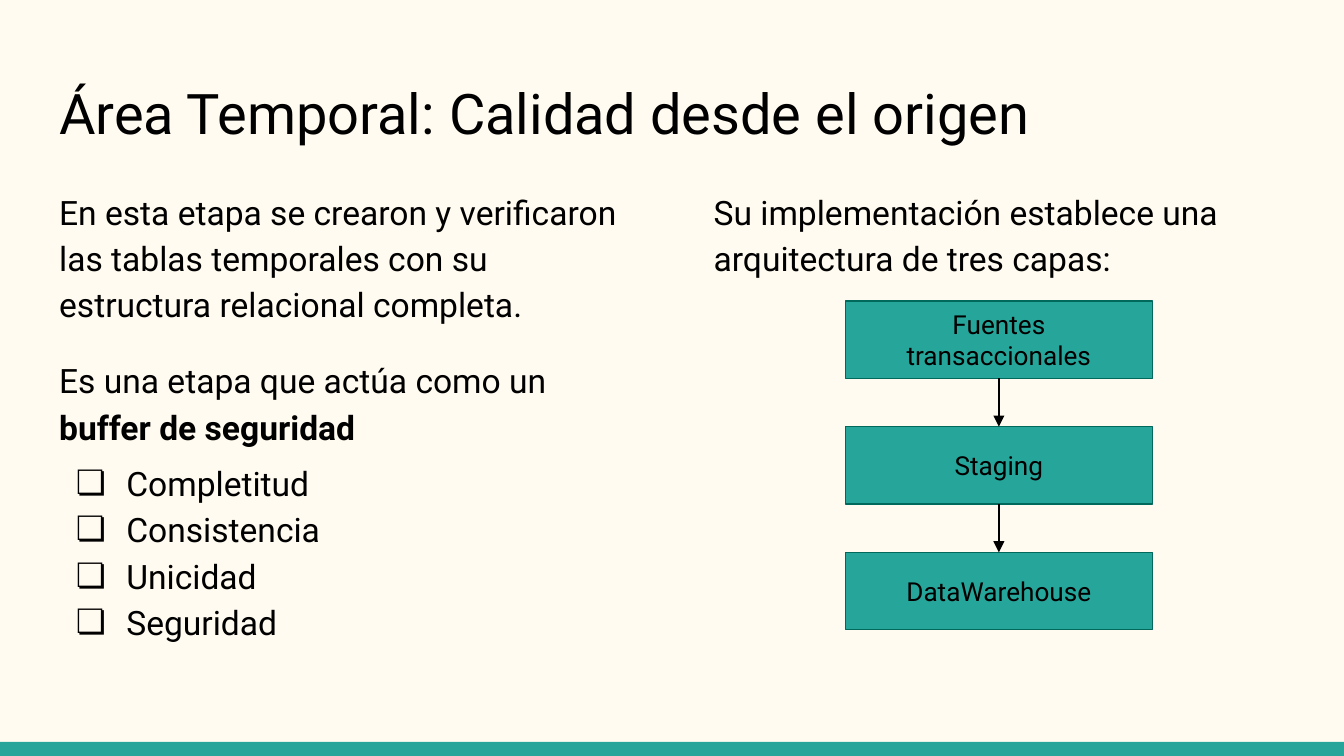
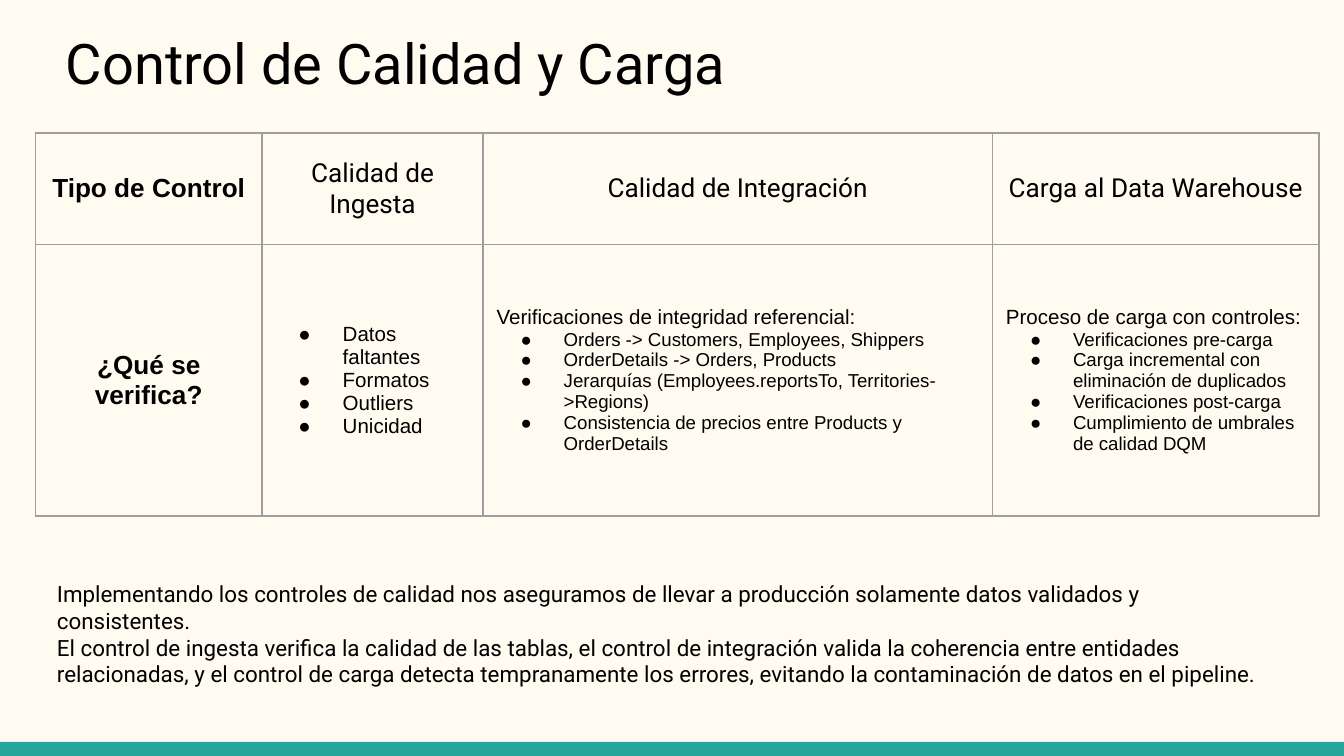
from dataclasses import dataclass

from lxml import etree
from pptx import Presentation
from pptx.dml.color import RGBColor
from pptx.enum.shapes import MSO_CONNECTOR, MSO_SHAPE
from pptx.enum.text import MSO_ANCHOR, MSO_AUTO_SIZE, PP_ALIGN
from pptx.oxml.ns import qn
from pptx.util import Pt

RECT = MSO_SHAPE.RECTANGLE
STRAIGHT = MSO_CONNECTOR.STRAIGHT
TOP, MIDDLE = MSO_ANCHOR.TOP, MSO_ANCHOR.MIDDLE
LEFT, CENTER = PP_ALIGN.LEFT, PP_ALIGN.CENTER
NO_FIT = MSO_AUTO_SIZE.NONE
PX = 4572


@dataclass(frozen=True)
class Theme:
    paper: RGBColor = RGBColor.from_string("FFFBF0")
    teal: RGBColor = RGBColor.from_string("26A69A")
    edge: RGBColor = RGBColor.from_string("00695C")
    ink: RGBColor = RGBColor.from_string("000000")
    grid: RGBColor = RGBColor.from_string("9E9E9E")
    font: str = "Roboto"
    table_font: str = "Arial"
    title: int = 30
    body: int = 18
    label: int = 14
    note: int = 12
    cell: int = 11
    item: int = 10
    line: float = 0.75
    inset: int = 20


T = Theme()


def place(sp, x, y, w, h, anchor=TOP):
    sp.left, sp.top, sp.width, sp.height = [v * PX for v in (x, y, w, h)]
    tf = sp.text_frame
    tf.word_wrap = True
    tf.auto_size = NO_FIT
    tf.vertical_anchor = anchor
    tf.margin_left = tf.margin_right = tf.margin_top = tf.margin_bottom = T.inset * PX
    return tf


def write(tf, text, size=T.body, font=T.font, bold=False, bold_tail="", align=LEFT,
          bullet=None, hang=0, spacing=1.0, before=0, after=0):
    p = tf.paragraphs[-1] if not tf.text else tf.add_paragraph()
    pPr = p._p.get_or_add_pPr()
    pPr.set("marL", str(100 * PX if bullet else 0))
    pPr.set("indent", str(-hang * PX))
    if bullet:
        clr = etree.SubElement(pPr, qn("a:buClr"))
        etree.SubElement(clr, qn("a:srgbClr"), val=str(T.ink))
        etree.SubElement(pPr, qn("a:buFont"), typeface=font)
        etree.SubElement(pPr, qn("a:buChar"), char=bullet)
    else:
        etree.SubElement(pPr, qn("a:buNone"))
    p.alignment = align
    p.line_spacing = spacing
    p.space_before, p.space_after = Pt(before), Pt(after)
    for part, strong in ((text, bold), (bold_tail, True)):
        if part:
            r = p.add_run()
            r.text = part
            r.font.size, r.font.name, r.font.bold = Pt(size), font, strong
            r.font.color.rgb = T.ink


prs = Presentation()
prs.slide_width, prs.slide_height = 2000 * PX, 1125 * PX
master = prs.slide_master
master.background.fill.solid()
master.background.fill.fore_color.rgb = T.paper

s = prs.slides.add_slide(prs.slide_layouts[4])
band = s.shapes.add_shape(RECT, 0, 1104 * PX, 2000 * PX, 21 * PX)
band.shadow.inherit = False
band.fill.solid()
band.fill.fore_color.rgb = T.teal
band.line.fill.background()
band.element.nvSpPr.cNvPr.set("id", "20")
master.shapes.element.insert(2, band.element)

write(place(s.shapes.title, 68, 97, 1864, 134), "Área Temporal: Calidad desde el origen", size=T.title)
intro, checks, layers, spare = list(s.placeholders)[1:]
spare.element.getparent().remove(spare.element)

tf = place(intro, 68, 256, 890, 380)
write(tf, "En esta etapa se crearon y verificaron las tablas temporales con su estructura "
      "relacional completa.", spacing=1.15)
write(tf, "Es una etapa que actúa como un ", bold_tail="buffer de seguridad",
      spacing=1.15, before=16, after=16)

tf = place(layers, 1042, 256, 890, 744)
write(tf, "Su implementación establece una arquitectura de tres capas:", spacing=1.15)

tf = place(checks, 68, 660, 890, 340)
for text in ("Completitud", "Consistencia", "Unicidad", "Seguridad"):
    write(tf, text, bullet="❏", hang=75, spacing=1.15)

prev = None
for i, text in enumerate(("Fuentes transaccionales", "Staging", "DataWarehouse")):
    sp = s.shapes.add_shape(RECT, 0, 0, PX, PX)
    sp.shadow.inherit = False
    sp.fill.solid()
    sp.fill.fore_color.rgb = T.teal
    sp.line.color.rgb = T.edge
    sp.line.width = Pt(T.line)
    tf = place(sp, 1258, 448 + 187 * i, 457, 115, anchor=MIDDLE)
    write(tf, text, size=T.label, align=CENTER)
    if prev:
        cx = s.shapes.add_connector(STRAIGHT, 0, 0, 0, 0)
        cx.begin_connect(prev, 2)
        cx.end_connect(sp, 0)
        cx.line.color.rgb = T.ink
        cx.line.width = Pt(T.line)
        etree.SubElement(cx.element.spPr.find(qn("a:ln")), qn("a:tailEnd"), type="triangle")
        etree.SubElement(cx.element.spPr, qn("a:effectLst"))
    prev = sp

s = prs.slides.add_slide(prs.slide_layouts[5])
write(place(s.shapes.title, 78, 22, 1864, 134), "Control de Calidad y Carga", size=T.title)

heads = ("Tipo de Control", "Calidad de Ingesta", "Calidad de Integración", "Carga al Data Warehouse")
details = (
    ("", T.cell, 66, ("Datos faltantes", "Formatos", "Outliers", "Unicidad")),
    ("Verificaciones de integridad referencial:", T.item, 64, (
        "Orders -> Customers, Employees, Shippers",
        "OrderDetails -> Orders, Products",
        "Jerarquías (Employees.reportsTo, Territories->Regions)",
        "Consistencia de precios entre Products y OrderDetails")),
    ("Proceso de carga con controles:", T.item, 64, (
        "Verificaciones pre-carga",
        "Carga incremental con eliminación de duplicados",
        "Verificaciones post-carga",
        "Cumplimiento de umbrales de calidad DQM")),
)
widths, heights = (337, 329, 758, 486), (166, 404)
table = s.shapes.add_table(2, 4, 53 * PX, 198 * PX, sum(widths) * PX, sum(heights) * PX).table
table.first_row = table.horz_banding = False
for col, w in zip(table.columns, widths):
    col.width = w * PX
for row, h in zip(table.rows, heights):
    row.height = h * PX

for cell in table.iter_cells():
    cell.vertical_anchor = MIDDLE
    cell.margin_left = cell.margin_right = cell.margin_top = cell.margin_bottom = T.inset * PX
    tcPr = cell._tc.get_or_add_tcPr()
    for side in ("lnL", "lnR", "lnT", "lnB"):
        ln = etree.SubElement(tcPr, qn(f"a:{side}"), w=str(Pt(T.line)))
        fill = etree.SubElement(ln, qn("a:solidFill"))
        etree.SubElement(fill, qn("a:srgbClr"), val=str(T.grid))
    cell.fill.background()

for c, text in enumerate(heads):
    write(table.cell(0, c).text_frame, text, size=T.label, align=CENTER,
          font=T.font if c else T.table_font, bold=c == 0)
write(table.cell(1, 0).text_frame, "¿Qué se verifica?", size=T.label, font=T.table_font,
      bold=True, align=CENTER)
for c, (lead, size, hang, items) in enumerate(details, 1):
    tf = table.cell(1, c).text_frame
    if lead:
        write(tf, lead, size=T.cell, font=T.table_font)
    for text in items:
        write(tf, text, size=size, font=T.table_font, bullet="●", hang=hang)

tf = place(s.shapes.add_textbox(0, 0, PX, PX), 65, 843, 1830, 182)
for text in (
    "Implementando los controles de calidad nos aseguramos de llevar a producción solamente "
    "datos validados y consistentes.",
    "El control de ingesta verifica la calidad de las tablas, el control de integración valida "
    "la coherencia entre entidades relacionadas, y el control de carga detecta tempranamente los "
    "errores, evitando la contaminación de datos en el pipeline.",
):
    write(tf, text, size=T.note)

prs.save("out.pptx")
